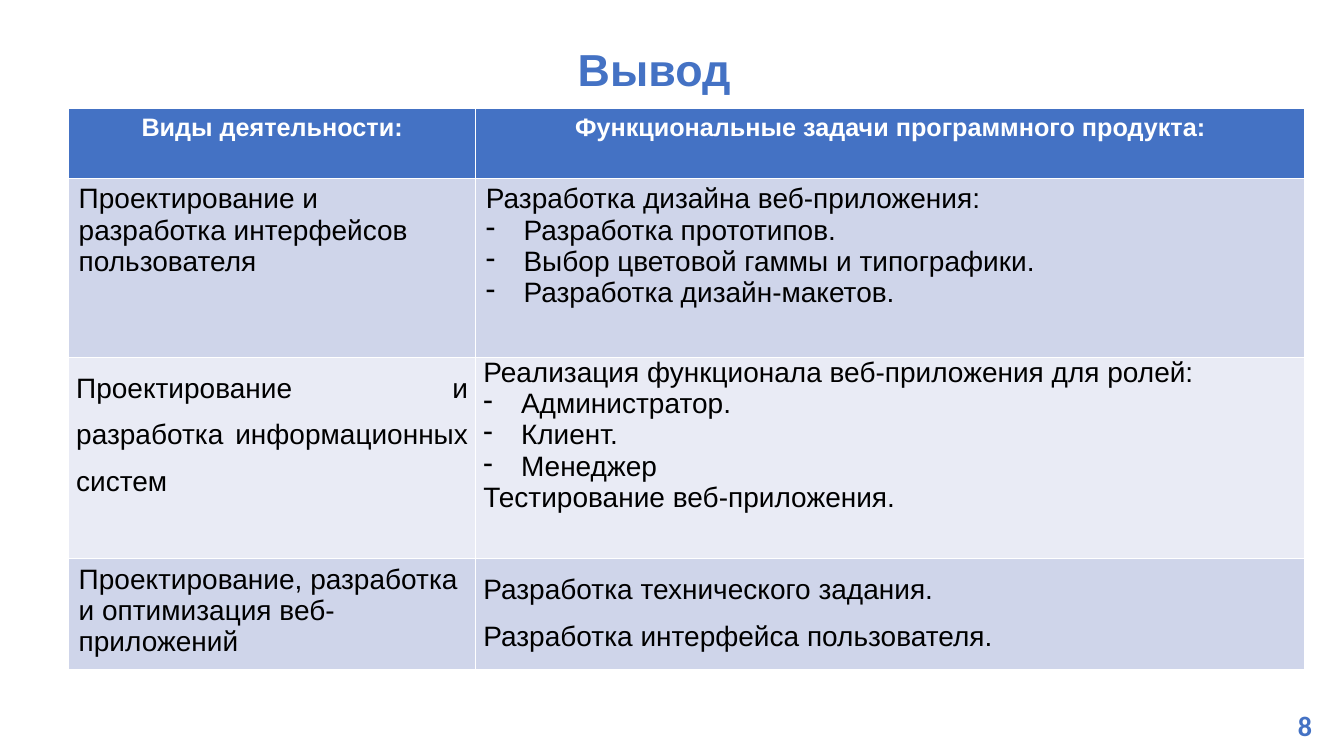
from dataclasses import dataclass

from lxml import etree
from pptx import Presentation
from pptx.dml.color import RGBColor
from pptx.enum.text import MSO_ANCHOR, PP_ALIGN
from pptx.oxml.ns import qn
from pptx.util import Cm, Pt

LEFT, CENTER, JUSTIFY = PP_ALIGN.LEFT, PP_ALIGN.CENTER, PP_ALIGN.JUSTIFY
MIDDLE = MSO_ANCHOR.MIDDLE

TITLE = "Вывод"
PAGE = "8"
HEADERS = ["Виды деятельности:", "Функциональные задачи программного продукта:"]

# Each cell: lines, alignment, line spacing, tight margins. Lines with "- " are bullets.
ROWS = [
    [
        (["Проектирование и разработка интерфейсов пользователя"], LEFT, 1.0, False),
        (["Разработка дизайна веб-приложения:",
          "- Разработка прототипов.",
          "- Выбор цветовой гаммы и типографики.",
          "- Разработка дизайн-макетов."], JUSTIFY, 1.0, False),
    ],
    [
        (["Проектирование и разработка информационных систем"], JUSTIFY, 1.5, True),
        (["Реализация функционала веб-приложения для ролей:",
          "- Администратор.",
          "- Клиент.",
          "- Менеджер",
          "Тестирование веб-приложения."], JUSTIFY, 1.0, True),
    ],
    [
        (["Проектирование, разработка и оптимизация веб-приложений"], LEFT, 1.0, False),
        (["Разработка технического задания.",
          "Разработка интерфейса пользователя."], JUSTIFY, 1.5, True),
    ],
]
COLUMN_WIDTHS = [10.26, 20.9]
ROW_HEIGHTS = [1.77, 4.5, 5.08, 2.79]


@dataclass(frozen=True)
class Theme:
    accent: RGBColor = RGBColor(0x44, 0x72, 0xC4)
    header_text: RGBColor = RGBColor(0xFF, 0xFF, 0xFF)
    body_text: RGBColor = RGBColor(0, 0, 0)
    bands: tuple = (RGBColor(0xCF, 0xD5, 0xEA), RGBColor(0xE9, 0xEB, 0xF5))
    face: str = "Arial"
    page_face: str = "Calibri"
    title_size: int = 32
    header_size: int = 18
    body_size: int = 20


THEME = Theme()


def set_font(paragraph, face, size, color, bold):
    font = paragraph.font
    font.name, font.size, font.bold = face, Pt(size), bold
    font.color.rgb = color


def add_dash(paragraph):
    """Give the paragraph a hanging dash bullet."""
    properties = paragraph._p.get_or_add_pPr()
    properties.set("marL", str(Cm(0.95)))
    properties.set("indent", str(-Cm(0.95)))
    etree.SubElement(properties, qn("a:buChar")).set("char", "-")


def fill_cell(cell, color):
    cell.fill.solid()
    cell.fill.fore_color.rgb = color


def write_cell(cell, lines, align, spacing, tight):
    if tight:
        cell.margin_left = cell.margin_right = Cm(0.19)
        cell.margin_top = cell.margin_bottom = 0
    frame = cell.text_frame
    for index, line in enumerate(lines):
        paragraph = frame.add_paragraph() if index else frame.paragraphs[0]
        paragraph.text = line.removeprefix("- ")
        if line.startswith("- "):
            add_dash(paragraph)
        paragraph.alignment = align
        paragraph.line_spacing = spacing
        set_font(paragraph, THEME.face, THEME.body_size, THEME.body_text, False)


def add_title(slide):
    title = slide.shapes.title
    title.left, title.top, title.width, title.height = Cm(11.43), Cm(0.23), Cm(10.11), Cm(3.18)
    title.text_frame.text = TITLE
    title.text_frame.vertical_anchor = MIDDLE
    paragraph = title.text_frame.paragraphs[0]
    paragraph.alignment = CENTER
    paragraph.line_spacing = 0.9
    set_font(paragraph, THEME.face, THEME.title_size, THEME.accent, True)


def add_tasks_table(slide):
    table = slide.shapes.add_table(
        len(ROW_HEIGHTS), len(COLUMN_WIDTHS), Cm(1.73), Cm(2.73),
        Cm(sum(COLUMN_WIDTHS)), Cm(sum(ROW_HEIGHTS))).table
    for column, width in zip(table.columns, COLUMN_WIDTHS):
        column.width = Cm(width)
    for row, height in zip(table.rows, ROW_HEIGHTS):
        row.height = Cm(height)

    for column, header in enumerate(HEADERS):
        cell = table.cell(0, column)
        fill_cell(cell, THEME.accent)
        cell.text = header
        paragraph = cell.text_frame.paragraphs[0]
        paragraph.alignment = CENTER
        set_font(paragraph, THEME.face, THEME.header_size, THEME.header_text, True)

    for row, contents in enumerate(ROWS, start=1):
        for column, content in enumerate(contents):
            cell = table.cell(row, column)
            fill_cell(cell, THEME.bands[(row - 1) % 2])
            write_cell(cell, *content)


def add_page_number(slide):
    box = slide.shapes.add_textbox(Cm(32.13), Cm(17.73), Cm(1.52), Cm(1.11))
    box.text_frame.word_wrap = True
    paragraph = box.text_frame.paragraphs[0]
    paragraph.text = PAGE
    paragraph.alignment = CENTER
    set_font(paragraph, THEME.page_face, THEME.body_size, THEME.accent, True)


def main():
    deck = Presentation()
    deck.slide_width, deck.slide_height = Cm(33.87), Cm(19.05)
    slide = deck.slides.add_slide(deck.slide_layouts[5])
    add_title(slide)
    add_page_number(slide)
    add_tasks_table(slide)
    deck.save("out.pptx")


if __name__ == "__main__":
    main()
